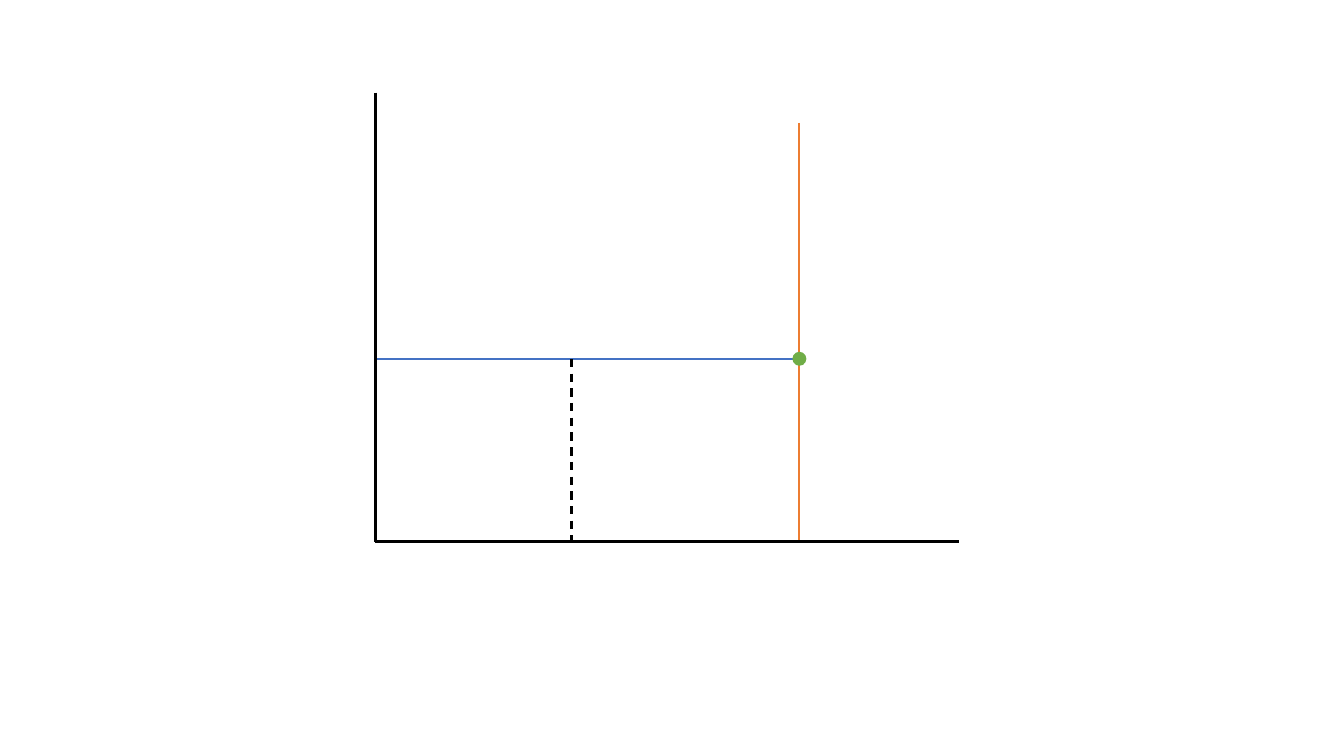
from pptx import Presentation
from pptx.dml.color import RGBColor
from pptx.enum.dml import MSO_LINE_DASH_STYLE as DASH
from pptx.enum.shapes import MSO_CONNECTOR as CONNECTOR, MSO_SHAPE as SHAPE
from pptx.oxml.ns import qn
from pptx.util import Pt
from lxml.etree import SubElement

BLACK = RGBColor(0x00, 0x00, 0x00)
BLUE = RGBColor(0x44, 0x72, 0xC4)
ORANGE = RGBColor(0xED, 0x7D, 0x31)
GREEN = RGBColor(0x70, 0xAD, 0x47)

# Key coordinates of the diagram, in points
AXIS_X, AXIS_Y = 268.5, 386.7
AXIS_TOP, AXIS_RIGHT = 66.2, 684.7
LIMIT_X, LIMIT_TOP = 571, 87.8
LEVEL_Y = 256.3
MARK_X = 408.2
DOT_SIZE = 10
OVERLAP = 0.7  # closes the corner of the axes

# Lines: start, end, colour, width, dash
limit_and_level = [
    ((LIMIT_X, LIMIT_TOP), (LIMIT_X, AXIS_Y), ORANGE, 1.5, None),
    ((AXIS_X, LEVEL_Y), (LIMIT_X, LEVEL_Y), BLUE, 1.5, None),
]
mark_and_axes = [
    ((MARK_X, LEVEL_Y), (MARK_X, AXIS_Y), BLACK, 1.5, DASH.DASH),
    ((AXIS_X - OVERLAP, AXIS_Y), (AXIS_RIGHT, AXIS_Y), BLACK, 2.25, None),
    ((AXIS_X, AXIS_TOP), (AXIS_X, AXIS_Y + OVERLAP), BLACK, 2.25, None),
]


def add_lines(shapes, lines):
    for start, end, colour, width, dash in lines:
        line = shapes.add_connector(
            CONNECTOR.STRAIGHT, *(Pt(value) for value in start + end))
        line.line.color.rgb = colour
        line.line.width = Pt(width)
        if dash:
            line.line.dash_style = dash
        SubElement(line._element.spPr, qn("a:effectLst"))


def add_dot(shapes, x, y, size, colour):
    dot = shapes.add_shape(SHAPE.OVAL, Pt(x - size / 2), Pt(y - size / 2),
                           Pt(size), Pt(size))
    dot.shadow.inherit = False
    dot.fill.solid()
    dot.fill.fore_color.rgb = colour
    dot.line.fill.background()


def main():
    prs = Presentation()
    prs.slide_width, prs.slide_height = Pt(960), Pt(540)
    shapes = prs.slides.add_slide(prs.slide_layouts[6]).shapes

    # Level meeting the limit, with the dot above both lines
    add_lines(shapes, limit_and_level)
    add_dot(shapes, LIMIT_X, LEVEL_Y, DOT_SIZE, GREEN)

    # Dashed mark and axes on top
    add_lines(shapes, mark_and_axes)
    prs.save("out.pptx")


if __name__ == "__main__":
    main()
